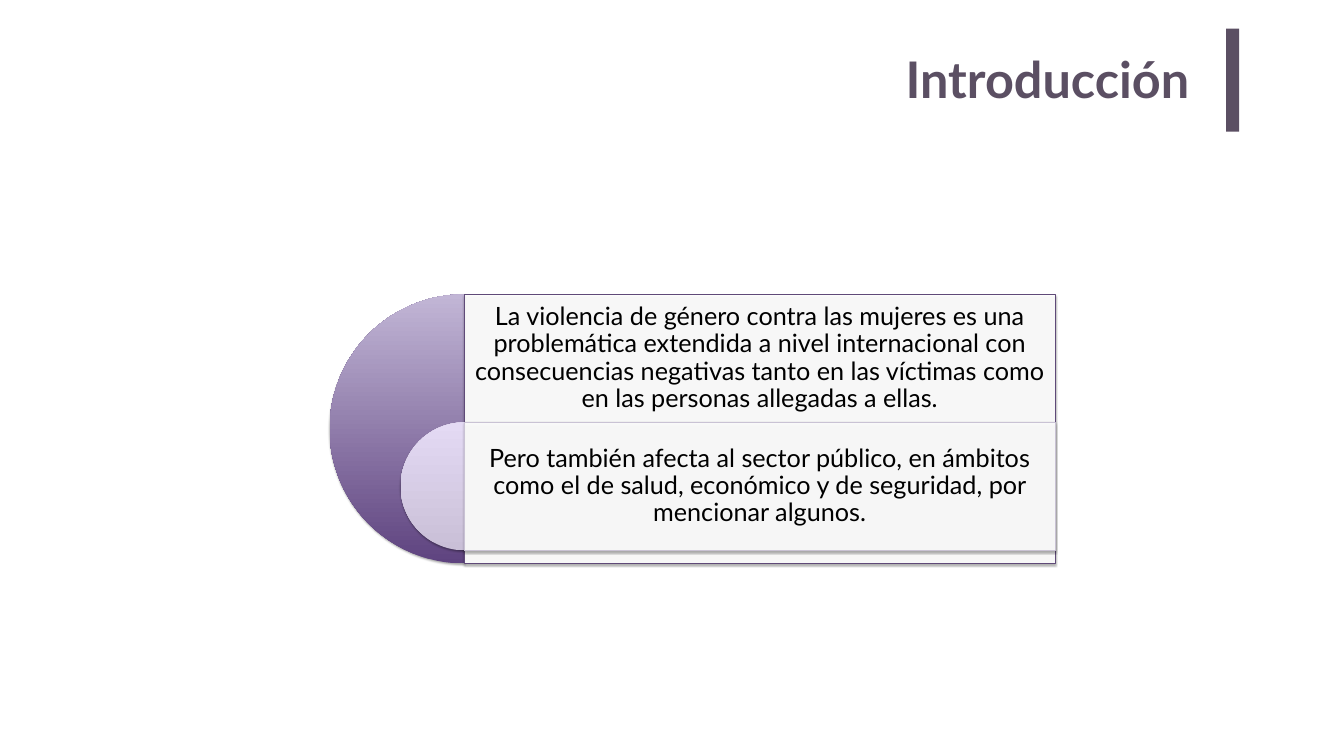
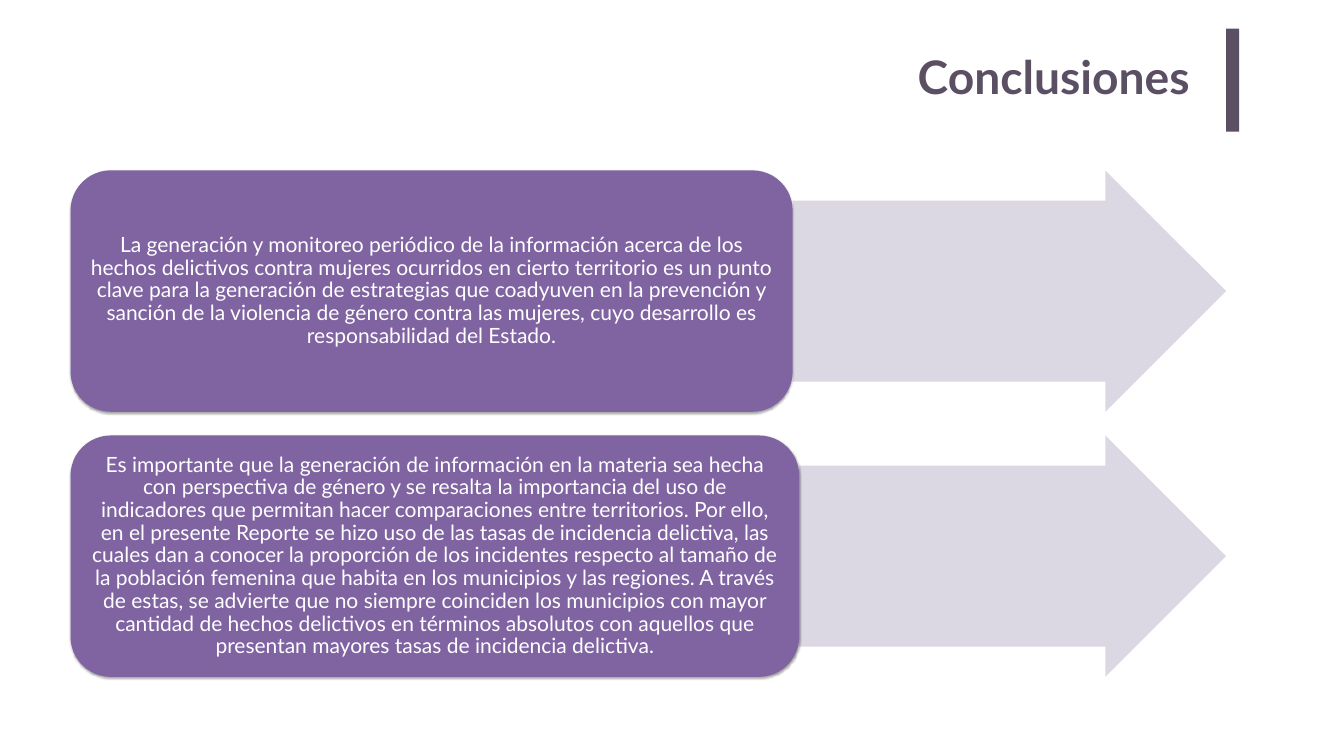
from lxml.etree import SubElement
from pptx import Presentation
from pptx.dml.color import RGBColor
from pptx.enum.shapes import MSO_SHAPE as Shape
from pptx.enum.text import MSO_ANCHOR as Anchor, PP_ALIGN as Align
from pptx.oxml.ns import qn
from pptx.util import Inches, Pt

FONT = "Lato"
PLUM = RGBColor(0x5B, 0x4F, 0x63)
VIOLET = RGBColor(0x80, 0x64, 0xA2)
LILAC = RGBColor(0xD8, 0xD3, 0xE0)
DARK_VIOLET = RGBColor(0x5E, 0x43, 0x7F)
SOFT_VIOLET = RGBColor(0xC2, 0xB6, 0xD6)
GREY_LILAC = RGBColor(0xC9, 0xBF, 0xD7)
PALE_LILAC = RGBColor(0xE4, 0xDA, 0xF4)
DARK_BORDER = RGBColor(0x5F, 0x4A, 0x78)
LIGHT_BORDER = RGBColor(0xC9, 0xC2, 0xD4)
WHITE = RGBColor(0xFF, 0xFF, 0xFF)
BLACK = RGBColor(0x00, 0x00, 0x00)


def add_figure(page, kind, area, colors, opacity=100, border=None, shadow=True):
    figure = page.shapes.add_shape(kind, *map(Inches, area))
    if len(colors) == 2:
        figure.fill.gradient()
        figure.fill.gradient_angle = 90
        for stop, color in zip(figure.fill.gradient_stops, colors):
            stop.color.rgb = color
    else:
        figure.fill.solid()
        figure.fill.fore_color.rgb = colors[0]
    if opacity < 100:
        color_node = figure._element.spPr.find(qn("a:solidFill")).find(qn("a:srgbClr"))
        SubElement(color_node, qn("a:alpha"), val=str(opacity * 1000))
    if border:
        figure.line.color.rgb = border
        figure.line.width = Pt(0.75)
    else:
        figure.line.fill.background()
    figure.shadow.inherit = False
    if shadow:
        effects = figure._element.spPr.find(qn("a:effectLst"))
        outer = SubElement(effects, qn("a:outerShdw"), blurRad="40000", dist="23000",
                           dir="5400000", rotWithShape="0")
        black = SubElement(outer, qn("a:srgbClr"), val="000000")
        SubElement(black, qn("a:alpha"), val="35000")
    return figure


def add_text(page, area, text, size, color, insets, align=Align.CENTER,
             anchor=Anchor.MIDDLE, spacing=0.9, bold=False):
    box = page.shapes.add_textbox(*map(Inches, area))
    frame = box.text_frame
    frame.word_wrap = True
    frame.vertical_anchor = anchor
    frame.margin_left = frame.margin_right = Inches(insets[0])
    frame.margin_top = frame.margin_bottom = Inches(insets[1])
    frame.text = text
    para = frame.paragraphs[0]
    para.alignment = align
    para.line_spacing = spacing
    para.font.name = FONT
    para.font.size = Pt(size)
    para.font.bold = bold
    para.font.color.rgb = color


deck = Presentation()
deck.slide_width = Inches(26.67)
deck.slide_height = Inches(15)

titles = [
    ("Introducción", 72, (15.53, 0.86, 8.27, 1.46)),
    ("Conclusiones", 66, (2.33, 0.86, 21.48, 2.04)),
]
for title, size, area in titles:
    page = deck.slides.add_slide(deck.slide_layouts[6])
    add_figure(page, Shape.RECTANGLE, (24.33, 0.57, 0.26, 2.04), [PLUM], shadow=False)
    add_text(page, area, title, size, PLUM, (0.2, 0.1), Align.RIGHT, Anchor.TOP, 1, True)

introduction, conclusions = deck.slides

panel_left, panel_width, text_height = 9.21, 11.73, 2.54
layers = [
    (6.54, 5.84, 5.34, [DARK_VIOLET, SOFT_VIOLET], DARK_BORDER,
     "La violencia de género contra las mujeres es una problemática extendida a nivel "
     "internacional con consecuencias negativas tanto en las víctimas como en las "
     "personas allegadas a ellas."),
    (7.95, 8.38, 2.54, [GREY_LILAC, PALE_LILAC], LIGHT_BORDER,
     "Pero también afecta al sector público, en ámbitos como el de salud, económico y "
     "de seguridad, por mencionar algunos."),
]
for left, top, height, gradient, border, text in layers:
    half_disc = add_figure(introduction, Shape.PIE, (left, top, height, height), gradient)
    half_disc.adjustments[0] = 54
    half_disc.adjustments[1] = 162
    add_figure(introduction, Shape.RECTANGLE, (panel_left, top, panel_width, height),
               [WHITE], 90, border)
    add_text(introduction, (panel_left, top, panel_width, text_height), text, 36, BLACK,
             (0.15, 0.15))

card_left, card_height, arrow_tip, padding = 1.4, 4.79, 24.33, 0.235
cards = [
    (14.33,
     "La generación y monitoreo periódico de la información acerca de los hechos "
     "delictivos contra mujeres ocurridos en cierto territorio es un punto clave para la "
     "generación de estrategias que coadyuven en la prevención y sanción de la violencia "
     "de género contra las mujeres, cuyo desarrollo es responsabilidad del Estado."),
    (14.46,
     "Es importante que la generación de información en la materia sea hecha con "
     "perspectiva de género y se resalta la importancia del uso de indicadores que "
     "permitan hacer comparaciones entre territorios. Por ello, en el presente Reporte se "
     "hizo uso de las tasas de incidencia delictiva, las cuales dan a conocer la "
     "proporción de los incidentes respecto al tamaño de la población femenina que habita "
     "en los municipios y las regiones. A través de estas, se advierte que no siempre "
     "coinciden los municipios con mayor cantidad de hechos delictivos en términos "
     "absolutos con aquellos que presentan mayores tasas de incidencia delictiva."),
]
for row, (width, text) in enumerate(cards):
    top = 3.38 + row * 5.26
    arrow_left = card_left + width
    arrow = add_figure(conclusions, Shape.RIGHT_ARROW,
                       (arrow_left, top, arrow_tip - arrow_left, card_height),
                       [LILAC], 90, shadow=False)
    arrow.adjustments[0] = 0.75
    arrow.adjustments[1] = 0.5
    add_figure(conclusions, Shape.ROUNDED_RECTANGLE, (card_left, top, width, card_height),
               [VIOLET])
    add_text(conclusions, (card_left + padding, top + padding, width - 2 * padding,
                           card_height - 2 * padding), text, 30, WHITE, (0.12, 0.06))

deck.save("out.pptx")
